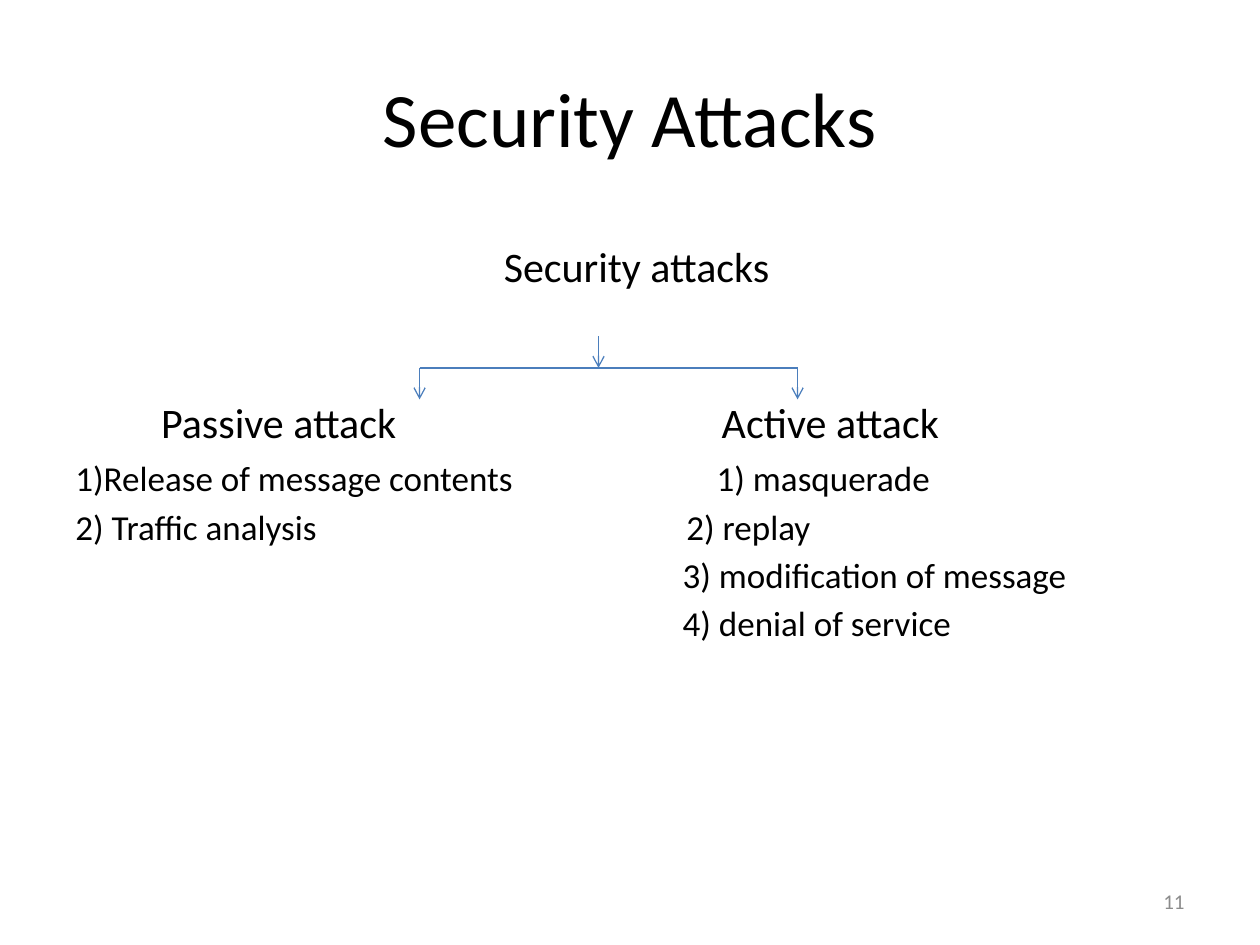
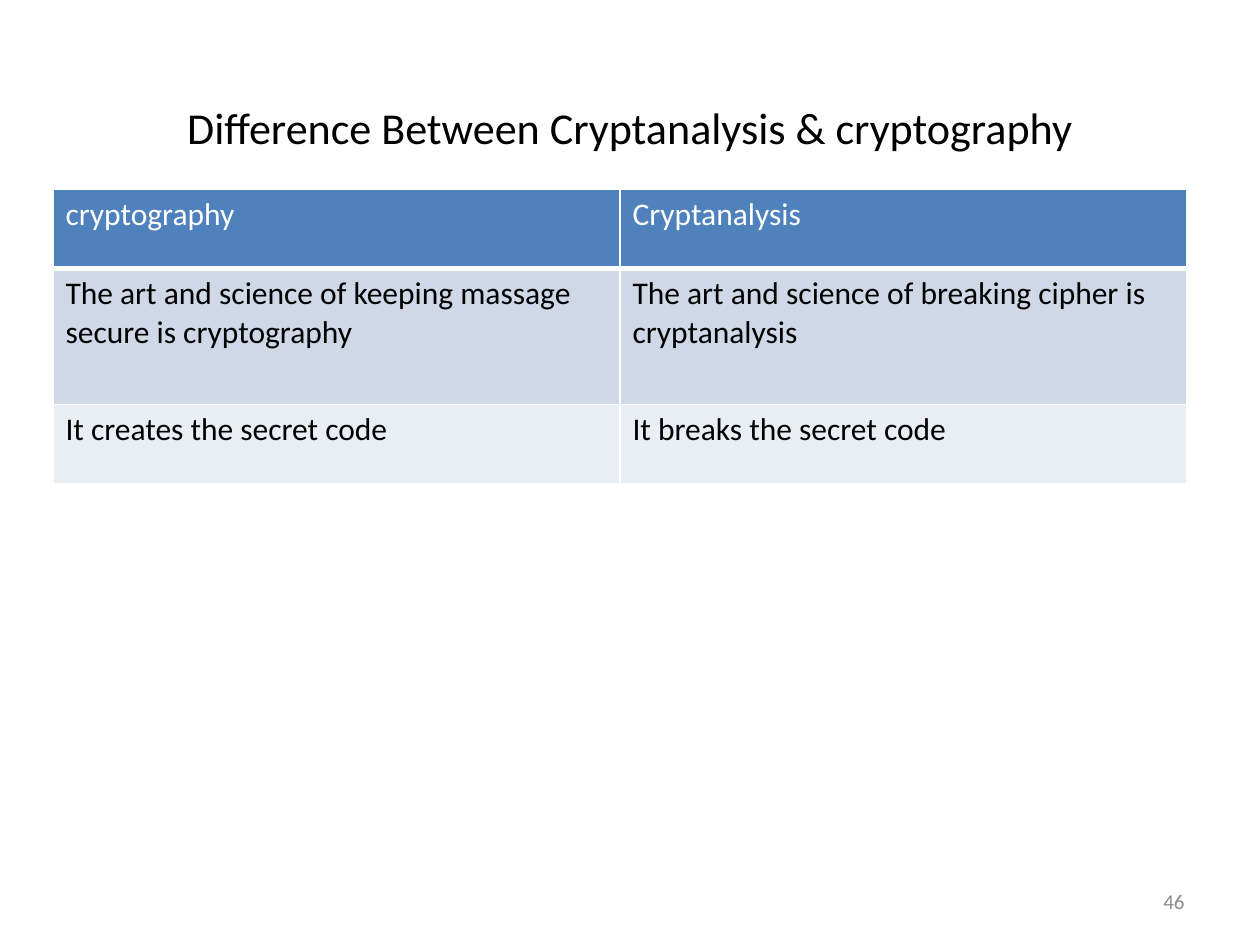
"""Build two slides on security attacks and on cryptography versus cryptanalysis."""
from dataclasses import dataclass

from lxml import etree
from pptx import Presentation
from pptx.dml.color import RGBColor
from pptx.enum.shapes import MSO_CONNECTOR
from pptx.enum.text import MSO_ANCHOR, PP_ALIGN
from pptx.oxml.ns import qn
from pptx.util import Inches, Pt

STRAIGHT = MSO_CONNECTOR.STRAIGHT
MIDDLE = MSO_ANCHOR.MIDDLE
TOP = MSO_ANCHOR.TOP
LEFT, CENTER, RIGHT = PP_ALIGN.LEFT, PP_ALIGN.CENTER, PP_ALIGN.RIGHT

FONT = "Calibri"
BLACK = RGBColor(0x00, 0x00, 0x00)
WHITE = RGBColor(0xFF, 0xFF, 0xFF)
GRAY = RGBColor(0x8C, 0x8C, 0x8C)
LINE_BLUE = RGBColor(0x4B, 0x7E, 0xBC)
HEADER_BLUE = RGBColor(0x4F, 0x81, 0xBD)
BAND_DARK = RGBColor(0xD0, 0xD8, 0xE8)
BAND_LIGHT = RGBColor(0xE9, 0xED, 0xF4)

MARGIN = 0.5
CONTENT_WIDTH = 9
TITLE_LAYOUT = 5


@dataclass(frozen=True)
class TabbedLine:
    """A line whose parts start at tab stops given in inches."""

    text: str
    size: float
    space_before: float
    tabs: tuple[float, ...]


@dataclass(frozen=True)
class Branch:
    """A tree line between two points in inches."""

    start: tuple[float, float]
    end: tuple[float, float]
    arrow: bool = True


@dataclass(frozen=True)
class TableRow:
    """A table row with its look."""

    texts: tuple[str, str]
    height: float
    fill: RGBColor
    color: RGBColor
    bottom_border: float = 1


ATTACK_LINES = (
    TabbedLine("\tSecurity attacks", 24, 0, (3.4,)),
    TabbedLine("\tPassive attack\tActive attack", 24, 60.4, (0.68, 5.13)),
    TabbedLine("1)Release of message contents\t1) masquerade", 20, 5.5, (5.09,)),
    TabbedLine("2) Traffic analysis\t2) replay", 20, 3.6, (4.85,)),
    TabbedLine("\t3) modification of message", 20, 3.6, (4.82,)),
    TabbedLine("\t4) denial of service", 20, 3.6, (4.82,)),
)

TRUNK_X, PASSIVE_X, ACTIVE_X = 4.75, 3.33, 6.33
BAR_Y, DROP = 2.92, 0.25
BRANCHES = (
    Branch((PASSIVE_X, BAR_Y), (ACTIVE_X, BAR_Y), arrow=False),
    Branch((PASSIVE_X, BAR_Y), (PASSIVE_X, BAR_Y + DROP)),
    Branch((ACTIVE_X, BAR_Y), (ACTIVE_X, BAR_Y + DROP)),
    Branch((TRUNK_X, BAR_Y - DROP), (TRUNK_X, BAR_Y)),
)

COMPARISON = (
    TableRow(("cryptography", "Cryptanalysis"), 0.63, HEADER_BLUE, WHITE, 3),
    TableRow(
        (
            "The art and science of keeping massage secure is cryptography",
            "The art and science of breaking cipher is cryptanalysis",
        ),
        1.08, BAND_DARK, BLACK,
    ),
    TableRow(("It creates the secret code", "It breaks the secret code"), 0.63, BAND_LIGHT, BLACK),
)


def style_paragraph(paragraph, size: float, color: RGBColor, alignment=LEFT) -> None:
    """Set the font and alignment of a paragraph."""
    paragraph.alignment = alignment
    paragraph.font.name = FONT
    paragraph.font.size = Pt(size)
    paragraph.font.bold = False
    paragraph.font.color.rgb = color


def add_text_box(slide, left: float, top: float, width: float, height: float, anchor):
    """Add a wrapping text box and return its text frame."""
    box = slide.shapes.add_textbox(Inches(left), Inches(top), Inches(width), Inches(height))
    frame = box.text_frame
    frame.word_wrap = True
    frame.vertical_anchor = anchor
    return frame


def add_titled_slide(presentation, title: str, top: float, height: float, size: float, number: int):
    """Add a slide with its title and page number."""
    slide = presentation.slides.add_slide(presentation.slide_layouts[TITLE_LAYOUT])
    shape = slide.shapes.title
    shape.left, shape.top = Inches(MARGIN), Inches(top)
    shape.width, shape.height = Inches(CONTENT_WIDTH), Inches(height)
    shape.text_frame.text = title
    shape.text_frame.vertical_anchor = MIDDLE
    style_paragraph(shape.text_frame.paragraphs[0], size, BLACK, CENTER)

    footer = add_text_box(slide, 7.17, 6.95, 2.33, 0.4, MIDDLE)
    footer.text = str(number)
    style_paragraph(footer.paragraphs[0], 12, GRAY, RIGHT)
    return slide


def add_tabbed_text(slide, lines: tuple[TabbedLine, ...]) -> None:
    """Add the body text with each line's own tab stops."""
    frame = add_text_box(slide, MARGIN, 1.75, CONTENT_WIDTH, 4.95, TOP)
    frame.margin_top = Inches(0.16)
    for index, line in enumerate(lines):
        paragraph = frame.add_paragraph() if index else frame.paragraphs[0]
        paragraph.text = line.text
        paragraph.space_before = Pt(line.space_before)
        properties = paragraph._p.get_or_add_pPr()
        tab_list = etree.SubElement(properties, qn("a:tabLst"))
        for position in line.tabs:
            etree.SubElement(tab_list, qn("a:tab"), pos=str(Inches(position)), algn="l")
        style_paragraph(paragraph, line.size, BLACK)


def add_branch(slide, branch: Branch) -> None:
    """Draw one line of the tree."""
    points = [Inches(value) for value in branch.start + branch.end]
    connector = slide.shapes.add_connector(STRAIGHT, *points)
    connector.line.color.rgb = LINE_BLUE
    connector.line.width = Pt(0.75)
    properties = connector._element.spPr
    if branch.arrow:
        etree.SubElement(properties.find(qn("a:ln")), qn("a:tailEnd"), type="arrow")
    etree.SubElement(properties, qn("a:effectLst"))


def set_borders(cell, bottom: float, top: float) -> None:
    """Give a cell white borders."""
    properties = cell._tc.get_or_add_tcPr()
    for side, width in (("lnL", 1), ("lnR", 1), ("lnT", top), ("lnB", bottom)):
        line = etree.SubElement(properties, qn(f"a:{side}"), w=str(Pt(width)))
        fill = etree.SubElement(line, qn("a:solidFill"))
        etree.SubElement(fill, qn("a:srgbClr"), val=str(WHITE))


def add_comparison(slide, rows: tuple[TableRow, ...]) -> None:
    """Add the comparison table."""
    columns = len(rows[0].texts)
    height = sum(row.height for row in rows)
    table = slide.shapes.add_table(
        len(rows), columns, Inches(0.42), Inches(1.5), Inches(CONTENT_WIDTH), Inches(height)
    ).table
    top_border = 1
    for row_index, row in enumerate(rows):
        table.rows[row_index].height = Inches(row.height)
        for column_index, text in enumerate(row.texts):
            cell = table.cell(row_index, column_index)
            set_borders(cell, row.bottom_border, top_border)
            cell.fill.solid()
            cell.fill.fore_color.rgb = row.fill
            cell.text = text
            style_paragraph(cell.text_frame.paragraphs[0], 18, row.color)
        top_border = row.bottom_border


def main() -> None:
    """Build and save the presentation."""
    presentation = Presentation()
    presentation.slide_width = Inches(10)
    presentation.slide_height = Inches(7.5)

    attacks = add_titled_slide(presentation, "Security Attacks", 0.3, 1.25, 44, 11)
    add_tabbed_text(attacks, ATTACK_LINES)
    for branch in BRANCHES:
        add_branch(attacks, branch)

    difference = add_titled_slide(
        presentation, "Difference Between Cryptanalysis & cryptography", 0.77, 0.48, 25.2, 46
    )
    add_comparison(difference, COMPARISON)
    presentation.save("out.pptx")


if __name__ == "__main__":
    main()
